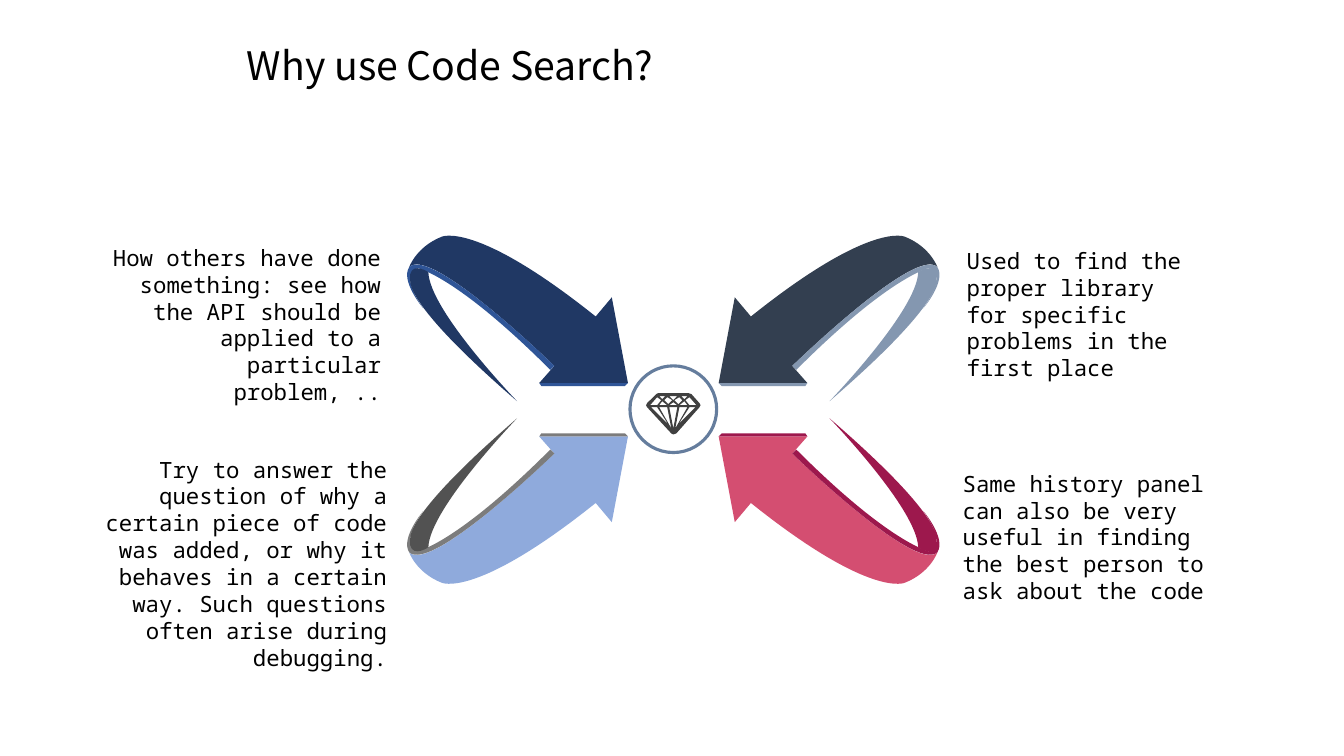
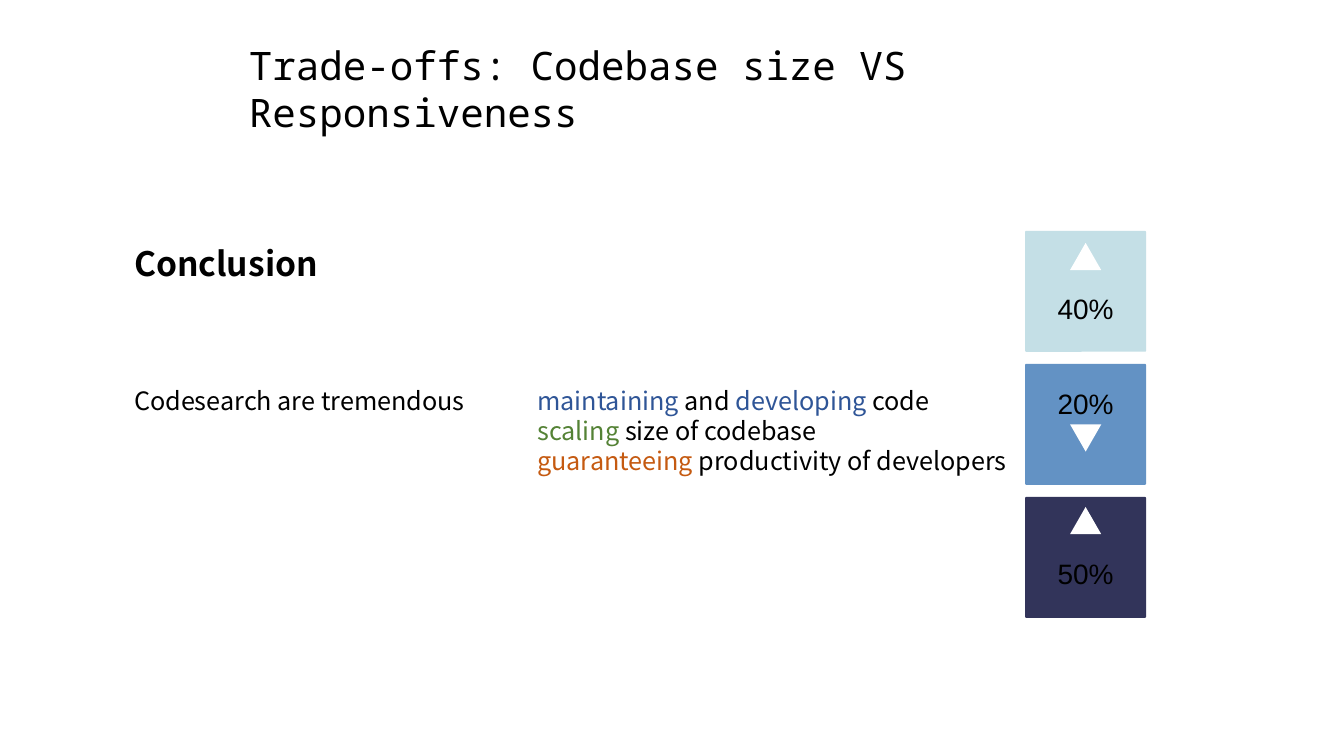
from lxml import etree
from pptx import Presentation
from pptx.dml.color import RGBColor
from pptx.enum.shapes import MSO_SHAPE as Preset
from pptx.enum.text import MSO_ANCHOR as Anchor, MSO_AUTO_SIZE as AutoSize, PP_ALIGN as Align
from pptx.oxml.ns import qn
from pptx.util import Inches, Pt

# The grid has ten columns and ten rows to the inch.
COLUMNS, ROWS = 133.33, 75
MIRROR_X, MIRROR_Y = 133.6, 81.3  # sums of opposite positions around the hub
SANS, MONO, DIGITS = "Noto Sans CJK SC", "Noto Sans Mono", "Arial"
BLACK, WHITE = "000000", "FFFFFF"
BLUE, GREEN, ORANGE = "2F5597", "548235", "C55A11"

# Upper left arrow: a start point, then lines (2 numbers) and cubic curves (6).
BLADE = [(59.1, 31.4), (60.7, 29.5), (62.3, 38), (53.5, 38), (55, 36.3),
         (55, 36.3, 42.7, 24.3, 40.6, 26.5), (40.6, 26.5, 41.3, 24.5, 43.8, 23.5),
         (43.8, 23.5, 47.1, 21.8, 59.1, 31.4)]
RIM = [(41.5, 26.6), (43, 27.1, 47, 29.1, 54.6, 36.7), (55, 36.3),
       (55, 36.3, 42.8, 24.4, 40.6, 26.5), (39.7, 27.9, 42, 30.6, 42, 30.6),
       (39.4, 26.9, 41.5, 26.6, 41.5, 26.6)]
BASE = [(62.3, 38), (62, 38.3), (53.7, 38.3), (53.5, 38)]
TAIL = [(51.3, 39.8), (51.3, 39.8, 42.6, 30.8, 42.5, 27),
        (42.5, 27, 41, 26, 40.7, 27.2), (40.7, 27.6), (40.7, 27.9),
        (40.7, 28.7, 41.7, 31.5, 51.3, 39.8)]

# mirrored across, mirrored down, blade, rim and base, tail
ARROWS = [(False, False, "203864", BLUE, "203864"),
          (True, False, "333F50", "8497B0", "8497B0"),
          (False, True, "8FAADC", "7C7C7C", "525252"),
          (True, True, "D44E71", "9D184D", "9D184D")]

GEM_OUTLINE = [(69.4, 40), (68.6, 39.1), (68.3, 39), (65.3, 39), (65.1, 39.1),
               (64.2, 40), (64.1, 40.2), (64.2, 40.4), (66.6, 43), (66.8, 43.1),
               (67.1, 43), (69.4, 40.4), (69.5, 40.2)]
GEM_LEFT_FACETS = [[(66, 39.3), (65.7, 39.6), (65.4, 39.3)],
                   [(66.2, 40.2), (65.4, 40.2), (65.7, 39.8)],
                   [(66.7, 39.7), (66.3, 40.1), (65.9, 39.7), (66.2, 39.4)],
                   [(65.2, 39.4), (65.6, 39.7), (65.2, 40.2), (64.5, 40.2)],
                   [(64.6, 40.4), (65.2, 40.4), (66.3, 42.1)],
                   [(65.4, 40.4), (66.2, 40.4), (66.6, 42.5)]]
GEM_MIDDLE_FACETS = [[(67.2, 39.3), (66.8, 39.7), (66.4, 39.3)],
                     [(67.2, 40.2), (66.4, 40.2), (66.8, 39.9)],
                     [(66.4, 40.4), (67.2, 40.4), (66.8, 42.5)]]

REASONS = [
    ((94.6, 23.8, 24.2, 6.1), Align.LEFT,
     "Used to find the proper library for specific problems in the first place"),
    ((94.2, 45.9, 26.9, 6.1), Align.LEFT,
     "Same history panel can also be very useful in finding the best person to ask "
     "about the code"),
    ((9.6, 23.5, 29.5, 14), Align.RIGHT,
     "How others have done something: see how the API should be applied to a "
     "particular problem, .."),
    ((5, 44.5, 34.7, 15.1), Align.RIGHT,
     "Try to answer the question of why a certain piece of code was added, or why it "
     "behaves in a certain way. Such questions often arise during debugging."),
]

# indent in columns, then the coloured pieces of the line
BENEFITS = [
    (0, [("Codesearch are tremendous\t\t", BLACK), ("maintaining", BLUE),
         (" and ", BLACK), ("developing", BLUE), (" code", BLACK)]),
    (40, [("scaling", GREEN), (" size of codebase", BLACK)]),
    (40, [("guaranteeing ", ORANGE), ("productivity of developers", BLACK)]),
]

# fill, share, rotation of the marker, rows from tile top to marker and to share
TILES = [("C4DFE6", "40%", 0, 1.2, 4.7),
         ("6392C4", "20%", 180, 6, 0.9),
         ("32345A", "50%", 0, 1, 4.5)]


def rgb(code):
    return RGBColor.from_string(code)


def cells(*counts):
    return [Inches(count / 10) for count in counts]


def reflect(segments, across=True, down=False):
    def flip(index, value):
        if index % 2:
            return MIRROR_Y - value if down else value
        return MIRROR_X - value if across else value

    return [tuple(flip(index, value) for index, value in enumerate(segment))
            for segment in segments]


def bend(freeform, segments):
    """Join each three line ends that belong to a curve into one cubic curve."""
    ends = freeform._element.iter(qn("a:lnTo"))
    ends = iter(list(ends))
    for segment in segments:
        group = [next(ends) for _ in range(len(segment) // 2)]
        if len(group) == 3:
            curve = etree.Element(qn("a:cubicBezTo"))
            group[0].addprevious(curve)
            for end in group:
                curve.append(end[0])
                end.getparent().remove(end)


class Deck:
    """Holds the presentation, its style and the current slide."""

    def __init__(self):
        self.show = Presentation()
        self.show.slide_width, self.show.slide_height = cells(COLUMNS, ROWS)
        self.slide = None

    def new_slide(self, layout, title, font, left, width):
        self.slide = self.show.slides.add_slide(self.show.slide_layouts[layout])
        heading = self.slide.shapes.title
        self.place(heading, left, 3.8, width, 5.2)
        heading.text_frame.text = title
        self.style(heading.text_frame, font, 28, insets=(0.5, 0.3))

    def place(self, shape, left, top, width, height):
        shape.left, shape.top, shape.width, shape.height = cells(left, top, width, height)

    def style(self, frame, font, size, align=Align.LEFT, bold=False, insets=(1.3, 0.7),
              spacing=None):
        """Format all text; without a spacing factor, lines are 1.2 sizes apart."""
        frame.word_wrap = True
        frame.auto_size = AutoSize.NONE
        frame.vertical_anchor = Anchor.TOP
        side, edge = cells(*insets)
        frame.margin_left = frame.margin_right = side
        frame.margin_top = frame.margin_bottom = edge
        for paragraph in frame.paragraphs:
            paragraph.alignment = align
            paragraph.line_spacing = spacing or Pt(size * 1.2)
            paragraph.space_before = Pt(0)
            for run in paragraph.runs:
                run.font.name, run.font.size, run.font.bold = font, Pt(size), bold
                if run.font.color.type is None:
                    run.font.color.rgb = rgb(BLACK)

    def text(self, box, words, font, size, **look):
        frame = self.slide.shapes.add_textbox(*cells(*box)).text_frame
        frame.text = words
        self.style(frame, font, size, **look)

    def body(self, box, lines, size):
        """Fill the body placeholder with indented lines of coloured pieces."""
        holder = self.slide.placeholders[1]
        self.place(holder, *box)
        frame = holder.text_frame
        for number, (indent, pieces) in enumerate(lines):
            paragraph = frame.add_paragraph() if number else frame.paragraphs[0]
            props = paragraph._p.get_or_add_pPr()
            props.set("marL", str(cells(indent)[0]))
            props.set("indent", "0")
            etree.SubElement(props, qn("a:buNone"))
            for words, color in pieces:
                run = paragraph.add_run()
                run.text = words
                run.font.color.rgb = rgb(color)
        self.style(frame, SANS, size)

    def paint(self, shape, fill=None, line=None, weight=0):
        shape.shadow.inherit = False
        if fill:
            shape.fill.solid()
            shape.fill.fore_color.rgb = rgb(fill)
        else:
            shape.fill.background()
        if line:
            shape.line.color.rgb = rgb(line)
            shape.line.width = Pt(weight)
        else:
            shape.line.fill.background()

    def shape(self, preset, box, **colors):
        drawn = self.slide.shapes.add_shape(preset, *cells(*box))
        self.paint(drawn, **colors)
        return drawn

    def outline(self, contours, fill):
        """Draw closed contours as one shape; inner contours become holes."""
        builder = self.slide.shapes.build_freeform(*cells(*contours[0][0]), scale=1.0)
        for number, (start, *segments) in enumerate(contours):
            if number:
                builder.move_to(*cells(*start))
            builder.add_line_segments(
                [tuple(cells(*segment[i:i + 2]))
                 for segment in segments for i in range(0, len(segment), 2)], close=True)
        freeform = builder.convert_to_shape()
        bend(freeform, [segment for contour in contours for segment in contour[1:]])
        self.paint(freeform, fill)

    def arrow(self, across, down, blade, rim, tail):
        for part, color in ((BLADE, blade), (RIM, rim), (BASE, rim), (TAIL, tail)):
            self.outline([reflect(part, across, down)], color)

    def hub(self):
        self.shape(Preset.OVAL, (62.5, 36.3, 8.6, 8.6), line="657D9D", weight=2.25)
        right_facets = [reflect(facet) for facet in GEM_LEFT_FACETS]
        self.outline([GEM_OUTLINE, *GEM_LEFT_FACETS, *right_facets, *GEM_MIDDLE_FACETS],
                     "404040")

    def tile(self, left, top, fill, share, turn, marker_drop, share_drop):
        side, marker = 12, 3.1
        self.shape(Preset.ROUNDED_RECTANGLE, (left, top, side, side),
                   fill=fill).adjustments[0] = 0.01
        self.shape(Preset.ISOSCELES_TRIANGLE,
                   (left + (side - marker) / 2, top + marker_drop, marker, 2.7),
                   fill=WHITE).rotation = turn
        self.text((left, top + share_drop, side, 5), share, DIGITS, 20,
                  align=Align.CENTER, spacing=1.2)


def main():
    deck = Deck()

    deck.new_slide(5, "Why use Code Search?", SANS, 24, 42.5)
    for arrow in ARROWS:
        deck.arrow(*arrow)
    deck.hub()
    for box, align, reason in REASONS:
        deck.text(box, reason, MONO, 16, align=align)

    deck.new_slide(1, "Trade-offs: Codebase size VS Responsiveness", MONO, 24.2, 83.4)
    deck.text((12, 23.4, 21.4, 5.4), "Conclusion", SANS, 24, bold=True)
    for row, tile in enumerate(TILES):
        deck.tile(101.7, 22.9 + 13.2 * row, *tile)
    deck.body((12, 37.5, 97.3, 10.4), BENEFITS, 18)

    deck.show.save("out.pptx")


if __name__ == "__main__":
    main()
